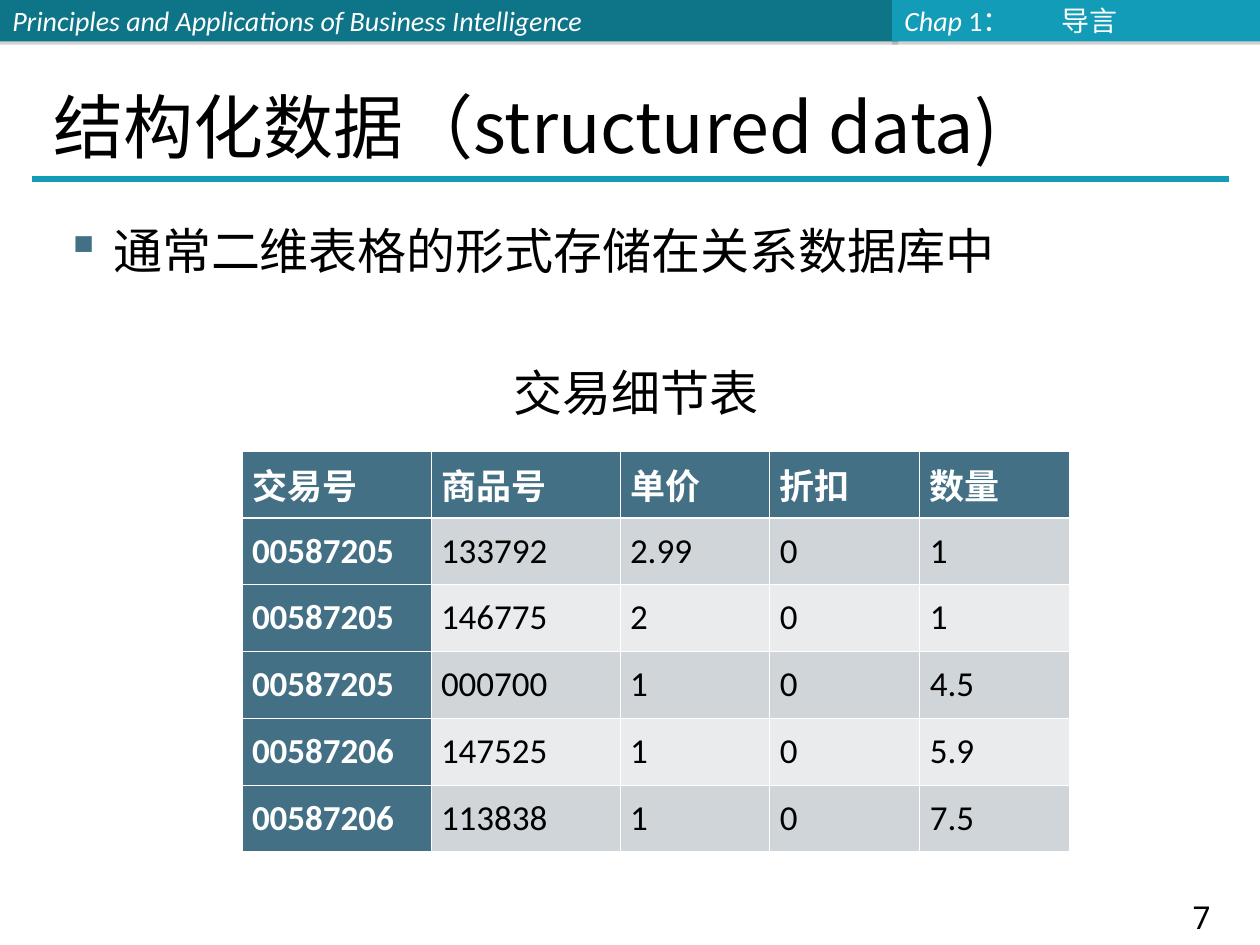
"""Build the structured data slide with its transaction detail table."""
import pptx
import pptx.dml.color
import pptx.enum.shapes
import pptx.enum.text
import pptx.oxml
import pptx.oxml.ns
import pptx.util
from pptx.util import Inches

NS = pptx.oxml.ns.nsdecls("a")
ALIGN = pptx.enum.text.PP_ALIGN
ANCHOR = pptx.enum.text.MSO_ANCHOR
CJK = "Noto Sans CJK SC"
WHITE, BLACK, SLATE, TEAL = "FFFFFF", "000000", "437085", "139CB7"
BANDS = ["CFD5D9", "E9EBED"]

BARS = [
    (0, 7.13, "0E7589", [("Principles and Applications of Business Intelligence", True)]),
    (7.08, 2.94, TEAL, [("Chap ", True), ("1：\t导言", False)]),
]
TITLE = "结构化数据（structured data)"
BULLET = "通常二维表格的形式存储在关系数据库中"
CAPTION = "交易细节表"
PAGE = " 7"
ROWS = [
    ["交易号", "商品号", "单价", "折扣", "数量"],
    ["00587205", "133792", "2.99", "0", "1"],
    ["00587205", "146775", "2", "0", "1"],
    ["00587205", "000700", "1", "0", "4.5"],
    ["00587206", "147525", "1", "0", "5.9"],
    ["00587206", "113838", "1", "0", "7.5"],
]
COL_WIDTHS = [1.5, 1.5, 1.19, 1.19, 1.19]
ROW_HEIGHT = 0.53


def rgb(color):
    return pptx.dml.color.RGBColor.from_string(color)


def add_xml(parent, xml, index=None):
    node = pptx.oxml.parse_xml(xml)
    parent.insert(len(parent) if index is None else index, node)


def style(r, size, font, color, bold=False, italic=False):
    r.font.size = pptx.util.Pt(size)
    r.font.name = font
    r.font.bold = bold
    r.font.italic = italic
    r.font.color.rgb = rgb(color)
    add_xml(r.font._element, f'<a:ea {NS} typeface="{CJK}"/>')


def add_text(s, box, paragraphs, size, font):
    tf = s.shapes.add_textbox(*map(Inches, box)).text_frame
    tf.word_wrap = True
    tf.text = "\n".join(paragraphs)
    for p in tf.paragraphs:
        style(p.runs[0], size, font, BLACK)
    return tf


def add_bar(s, left, width, color, parts):
    sp = s.shapes.add_shape(pptx.enum.shapes.MSO_SHAPE.RECTANGLE,
                            Inches(left), 0, Inches(width), Inches(0.33))
    sp.fill.solid()
    sp.fill.fore_color.rgb = rgb(color)
    sp.line.fill.background()
    add_xml(sp._element.spPr,
            f'<a:effectLst {NS}><a:outerShdw blurRad="0" dist="22860" dir="5400000">'
            '<a:srgbClr val="808080"><a:alpha val="35000"/></a:srgbClr>'
            '</a:outerShdw></a:effectLst>')
    tf = sp.text_frame
    tf.vertical_anchor = ANCHOR.MIDDLE
    p = tf.paragraphs[0]
    p.alignment = ALIGN.LEFT
    for text, italic in parts:
        r = p.add_run()
        r.text = text
        style(r, 16, "Calibri", WHITE, italic=italic)
    add_xml(p._p.get_or_add_pPr(),
            f'<a:tabLst {NS}><a:tab pos="{Inches(1.25)}" algn="l"/></a:tabLst>')


def add_body(s):
    tf = add_text(s, (0.42, 1.75, 9.25, 5.17), [BULLET, CAPTION], 28, CJK)
    for p, before in zip(tf.paragraphs, (10, 51)):
        p.line_spacing = 0.9
        p.space_before = pptx.util.Pt(before)
        pPr = p._p.get_or_add_pPr()
        pPr.set("marL", str(Inches(0.38)))
        pPr.set("indent", str(-Inches(0.38)))
    bullet, caption = tf.paragraphs
    caption.alignment = ALIGN.CENTER
    pPr = bullet._p.pPr
    add_xml(pPr, f'<a:buClr {NS}><a:srgbClr val="{SLATE}"/></a:buClr>')
    add_xml(pPr, f'<a:buChar {NS} char="▪"/>')


def style_cell(cell, text, i, j):
    head = i == 0 or j == 0
    cell.fill.solid()
    cell.fill.fore_color.rgb = rgb(SLATE if head else BANDS[(i - 1) % 2])
    cell.vertical_anchor = ANCHOR.MIDDLE
    cell.margin_left = cell.margin_right = Inches(0.08)
    cell.text_frame.text = text
    p = cell.text_frame.paragraphs[0]
    p.alignment = ALIGN.JUSTIFY
    style(p.runs[0], 20, "Calibri", WHITE if head else BLACK, bold=head)
    heavy = {(0, "B"), (1, "T")}
    for k, side in enumerate("LRTB"):
        width = pptx.util.Pt(1.47 if (i, side) in heavy else 0.45)
        add_xml(cell._tc.get_or_add_tcPr(),
                f'<a:ln{side} {NS} w="{width}"><a:solidFill><a:srgbClr val="{WHITE}"/>'
                f'</a:solidFill></a:ln{side}>', k)


def add_details(s):
    table = s.shapes.add_table(len(ROWS), len(COL_WIDTHS), Inches(1.92), Inches(3.58),
                               Inches(sum(COL_WIDTHS)), Inches(ROW_HEIGHT * len(ROWS))).table
    table.first_col = True
    for column, width in zip(table.columns, COL_WIDTHS):
        column.width = Inches(width)
    for i, row in enumerate(ROWS):
        table.rows[i].height = Inches(ROW_HEIGHT)
        for j, text in enumerate(row):
            style_cell(table.cell(i, j), text, i, j)


def main():
    prs = pptx.Presentation()
    prs.slide_width, prs.slide_height = Inches(10), Inches(7.5)
    s = prs.slides.add_slide(prs.slide_layouts[6])
    for bar in BARS:
        add_bar(s, *bar)

    page = add_text(s, (9, 7.1, 1.01, 0.38), [PAGE], 18, "Noto Sans").paragraphs[0]
    page.alignment = ALIGN.CENTER
    page.line_spacing = pptx.util.Pt(20)

    rule = s.shapes.add_connector(pptx.enum.shapes.MSO_CONNECTOR.STRAIGHT,
                                  Inches(0.25), Inches(1.42), Inches(9.75), Inches(1.42))
    rule.line.color.rgb = rgb(TEAL)
    rule.line.width = pptx.util.Pt(3)
    add_xml(rule._element.spPr, f'<a:effectLst {NS}/>')

    title = add_text(s, (0.33, 0.33, 9.33, 1), [TITLE], 40, CJK)
    title.vertical_anchor = ANCHOR.BOTTOM
    title.margin_bottom = 0

    add_body(s)
    add_details(s)
    prs.save("out.pptx")


if __name__ == "__main__":
    main()
